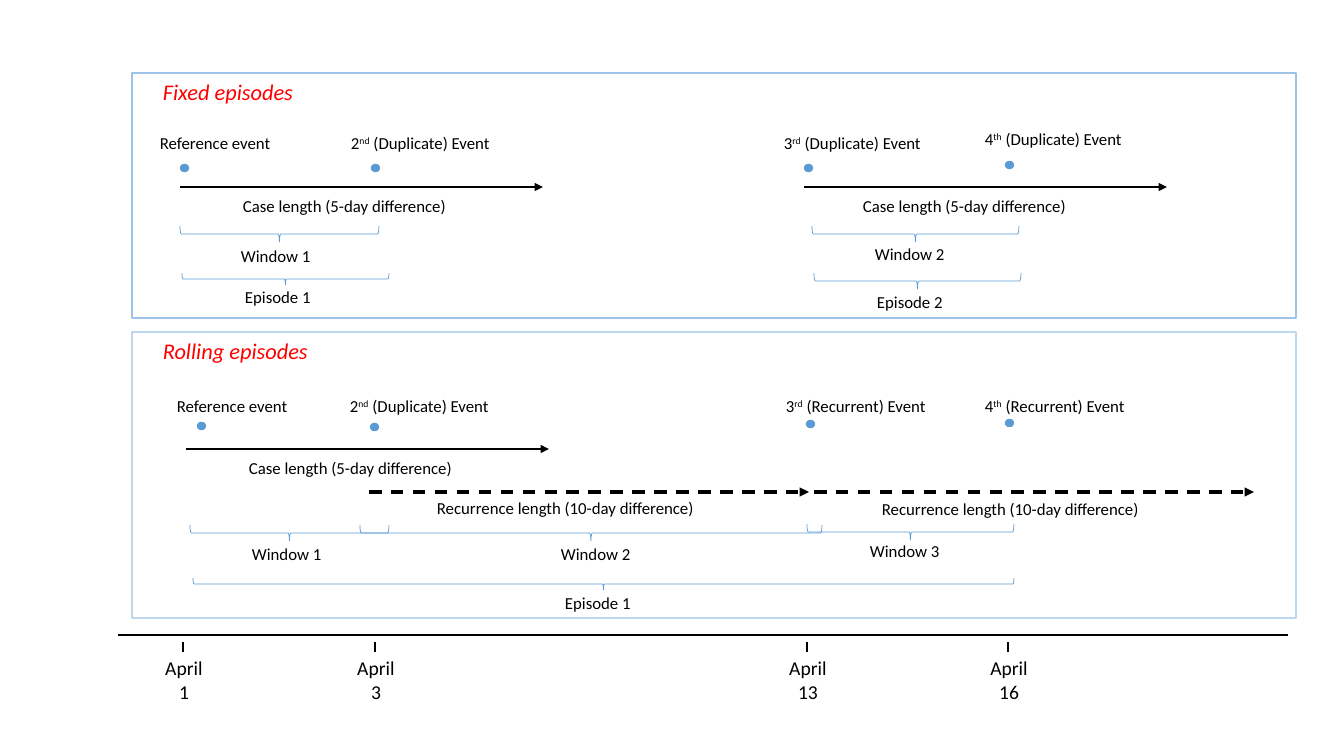
from lxml import etree
from pptx import Presentation
from pptx.dml.color import RGBColor
from pptx.enum.dml import MSO_LINE
from pptx.enum.shapes import MSO_CONNECTOR, MSO_SHAPE
from pptx.enum.text import MSO_AUTO_SIZE, PP_ALIGN
from pptx.oxml.ns import qn
from pptx.util import Pt

STRAIGHT = MSO_CONNECTOR.STRAIGHT
RECT, BRACE = MSO_SHAPE.RECTANGLE, MSO_SHAPE.LEFT_BRACE
DASH = MSO_LINE.DASH
LEFT, CENTER = PP_ALIGN.LEFT, PP_ALIGN.CENTER
FIT = MSO_AUTO_SIZE.SHAPE_TO_FIT_TEXT
BLACK, RED, BLUE = "000000", "FF0000", "5B9BD5"
CASE = "Case length (5-day difference)"
RECURRENCE = "Recurrence length (10-day difference)"


def px(n):
    return round(n * 914400 / 100.8)


def rgb(color):
    return RGBColor.from_string(color)


def add_text(s, x, y, w, runs, size=12, color=BLACK, italic=False, align=LEFT, h=30):
    tf = s.shapes.add_textbox(px(x), px(y), px(w), px(h)).text_frame
    tf.word_wrap = True
    tf.auto_size = FIT
    p = tf.paragraphs[0]
    p.alignment = align
    for i, text in enumerate(runs):
        r = p.add_run()
        r.text = text
        r.font.name = "Calibri"
        r.font.size = Pt(size)
        r.font.italic = italic
        r.font.color.rgb = rgb(color)
        if i == 1:
            r.font._element.set("baseline", "30000")


def add_line(s, x1, y1, x2, y2, width=1.5, color=BLACK, head=None, tail=None, dash=None):
    sp = s.shapes.add_connector(STRAIGHT, px(x1), px(y1), px(x2), px(y2))
    sp.line.color.rgb = rgb(color)
    sp.line.width = Pt(width)
    if dash:
        sp.line.dash_style = dash
    ln = sp.line._get_or_add_ln()
    for tag, kind in (("a:headEnd", head), ("a:tailEnd", tail)):
        if kind:
            etree.SubElement(ln, qn(tag)).set("type", kind)
    etree.SubElement(sp._element.spPr, qn("a:effectLst"))


def add_outline(s, kind, x, y, w, h, color, width):
    sp = s.shapes.add_shape(kind, px(x), px(y), px(w), px(h))
    sp.shadow.inherit = False
    sp.fill.background()
    sp.line.color.rgb = rgb(color)
    sp.line.width = Pt(width)
    return sp


def add_brace(s, x, y, w, h):
    sp = add_outline(s, BRACE, x + (w - h) / 2, y + (h - w) / 2, h, w, BLUE, 0.5)
    sp.rotation = 270


def add_panel(s, box, color, title, events, spans, braces):
    left, top, w, h = box
    add_outline(s, RECT, left, top, w, h, color, 1)
    add_text(s, left + 21, top, 199, [title], 16, RED, True)
    for x, label_y, dot_y, runs in events:
        x, dot_y = left + x, top + dot_y
        add_line(s, x, dot_y, x + 1, dot_y, 0.5, BLUE, "oval", "oval")
        add_text(s, x - 34, top + label_y, 180, runs)
    for x, y, length, width, dash, text_x, text_y, text in spans:
        x, y = left + x, top + y
        add_line(s, x, y, x + length, y, width, tail="triangle", dash=dash)
        add_text(s, left + text_x, top + text_y, 350, [text])
    for x, y, length, depth, text_x, text_y, text in braces:
        add_brace(s, left + x, top + y, length, depth)
        add_text(s, left + text_x, top + text_y, 108, [text])


def add_timeline(s, box, dates):
    left, top, w = box
    add_line(s, left, top, left + w, top)
    for x, date in dates:
        x += left
        add_line(s, x, top + 7, x, top + 17)
        add_text(s, x - 32, top + 16, 66, [date], 14, align=CENTER, h=57)


prs = Presentation()
prs.slide_width, prs.slide_height = px(1344), px(756)
s = prs.slides.add_slide(prs.slide_layouts[6])

add_panel(
    s, (132, 73, 1164, 245), "9DC3E6", "Fixed episodes",
    events=[
        (52, 55, 95, ["Reference event"]),
        (243, 55, 95, ["2", "nd", " (Duplicate) Event"]),
        (676, 55, 95, ["3", "rd", " (Duplicate) Event"]),
        (877, 51, 92, ["4", "th", " (Duplicate) Event"]),
    ],
    spans=[
        (48, 114, 363, 1.5, None, 101, 118, CASE),
        (672, 114, 363, 1.5, None, 721, 118, CASE),
    ],
    braces=[
        (48, 153, 199, 16, 99, 168, "Window 1"),
        (680, 153, 207, 16, 733, 166, "Window 2"),
        (50, 200, 207, 12, 103, 209, "Episode 1"),
        (682, 200, 207, 16, 735, 214, "Episode 2"),
    ])

add_panel(
    s, (132, 332, 1164, 286), "BDD7EE", "Rolling episodes",
    events=[
        (69, 59, 94, ["Reference event"]),
        (242, 59, 95, ["2", "nd", " (Duplicate) Event"]),
        (678, 59, 92, ["3", "rd", " (Recurrent) Event"]),
        (877, 59, 91, ["4", "th", " (Recurrent) Event"]),
    ],
    spans=[
        (54, 117, 363, 1, None, 107, 121, CASE),
        (237, 160, 440, 2.25, DASH, 295, 161, RECURRENCE),
        (682, 160, 440, 2.25, DASH, 740, 162, RECURRENCE),
    ],
    braces=[
        (58, 193, 199, 16, 110, 207, "Window 1"),
        (228, 193, 462, 16, 419, 207, "Window 2"),
        (675, 192, 207, 16, 728, 204, "Window 3"),
        (61, 246, 821, 12, 423, 256, "Episode 1"),
    ])

add_timeline(s, (118, 635, 1170), [
    (65, "April 1"), (257, "April 3"), (689, "April 13"), (890, "April 16")])

prs.save("out.pptx")
